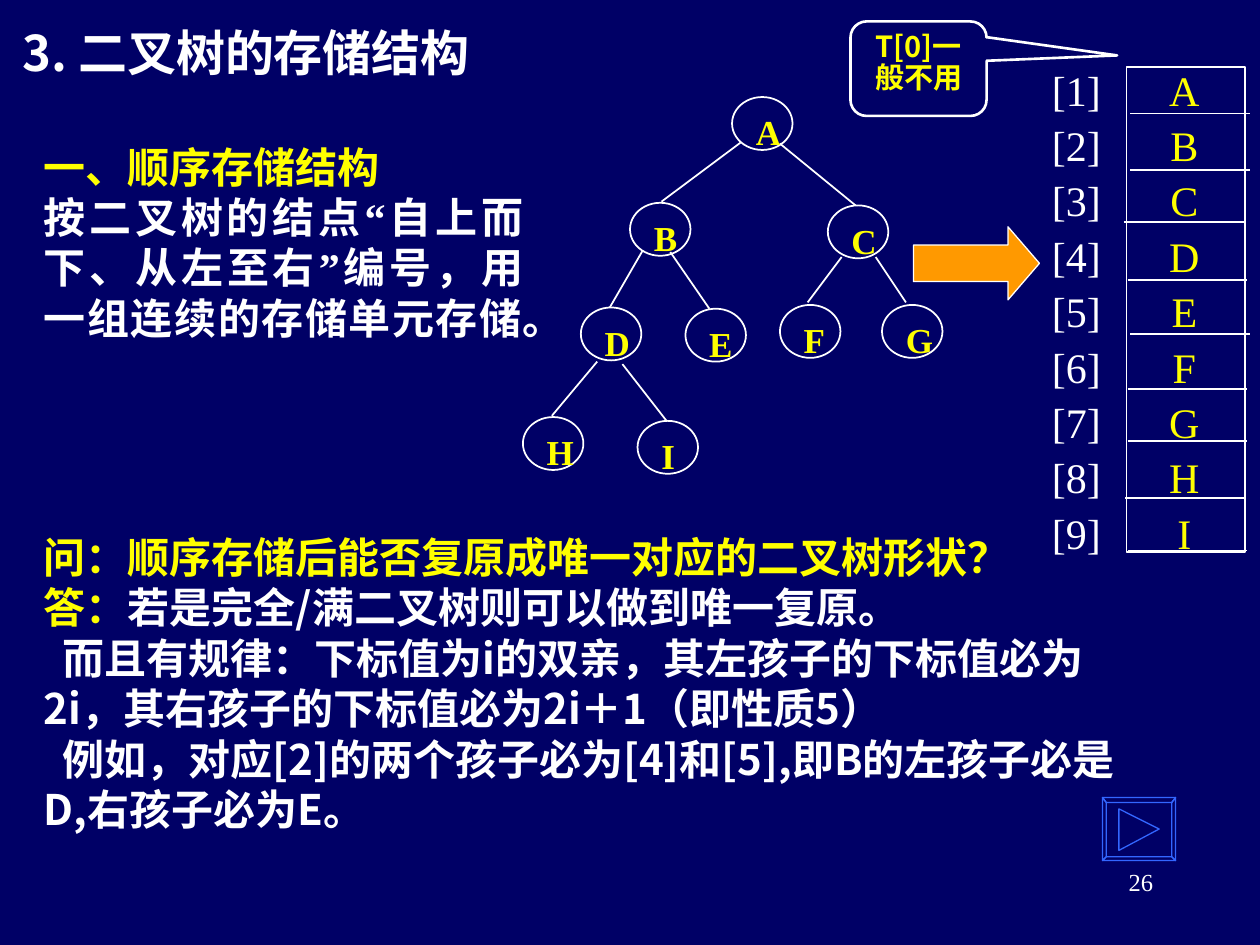
import pptx
import pptx.dml.color
import pptx.enum.shapes
import pptx.enum.text
import pptx.oxml.ns
import pptx.util
from lxml import etree

Inches = pptx.util.Inches
Shapes = pptx.enum.shapes.MSO_SHAPE
Align = pptx.enum.text.PP_ALIGN
Anchor = pptx.enum.text.MSO_ANCHOR
AutoSize = pptx.enum.text.MSO_AUTO_SIZE
qn = pptx.oxml.ns.qn

WHITE, YELLOW, ORANGE, BLUE, NAVY = "FFFFFF", "FFFF00", "FF9900", "3366FF", "000066"
SANS, SERIF = "Noto Sans CJK SC", "Times New Roman"


def color(value):
    return pptx.dml.color.RGBColor.from_string(value)


def apply(target, values):
    for name, value in values.items():
        setattr(target, name, value)


class SlideBuilder:
    def __init__(self, slide):
        self.slide = slide
        self.shapes = slide.shapes
        slide.background.fill.solid()
        slide.background.fill.fore_color.rgb = color(NAVY)

    def fill_text(self, shape, paragraphs, size, bold=False, wrap=True, grow=False,
                  anchor=Anchor.TOP, formats=None, indents=None):
        frame = shape.text_frame
        apply(frame, {
            "word_wrap": wrap,
            "auto_size": AutoSize.SHAPE_TO_FIT_TEXT if grow else AutoSize.NONE,
            "vertical_anchor": anchor,
            "margin_left": Inches(0.1), "margin_right": Inches(0.1),
            "margin_top": Inches(0.05), "margin_bottom": Inches(0.05),
        })
        for index, runs in enumerate(paragraphs):
            paragraph = frame.add_paragraph() if index else frame.paragraphs[0]
            apply(paragraph, {"alignment": Align.LEFT, **(formats or {})})
            if indents and indents[index]:
                paragraph._p.get_or_add_pPr().set("indent", str(Inches(indents[index])))
            for text, ink, latin, east in runs:
                run = paragraph.add_run()
                run.text = text
                apply(run.font, {"size": pptx.util.Pt(size), "bold": bold, "name": latin})
                run.font.color.rgb = color(ink)
                properties = run._r.get_or_add_rPr()
                properties.find(qn("a:latin")).addnext(
                    properties.makeelement(qn("a:ea"), {"typeface": east}))
        return frame

    def text(self, box, paragraphs, size, **style):
        shape = self.shapes.add_textbox(*map(Inches, box))
        return self.fill_text(shape, paragraphs, size, **style)

    def paint(self, shape, line, width, fill=None):
        shape.shadow.inherit = False
        if fill:
            shape.fill.solid()
            shape.fill.fore_color.rgb = color(fill)
        else:
            shape.fill.background()
        shape.line.color.rgb = color(line)
        shape.line.width = pptx.util.Pt(width)
        return shape

    def preset(self, kind, box, width=1, fill=None, adjustments=()):
        shape = self.shapes.add_shape(kind, *map(Inches, box))
        for index, value in enumerate(adjustments):
            shape.adjustments[index] = value
        return self.paint(shape, WHITE, width, fill)

    def line(self, start_x, start_y, end_x, end_y):
        connector = self.shapes.add_connector(
            pptx.enum.shapes.MSO_CONNECTOR.STRAIGHT,
            *map(Inches, (start_x, start_y, end_x, end_y)))
        connector.line.color.rgb = color(WHITE)
        connector.line.width = pptx.util.Pt(1)
        etree.SubElement(connector._element.spPr, qn("a:effectLst"))

    def outline(self, contours, ink, width):
        contours = [[tuple(map(Inches, point)) for point in contour] for contour in contours]
        builder = self.shapes.build_freeform(*contours[0][0])
        for index, contour in enumerate(contours):
            if index:
                builder.move_to(*contour[0])
            builder.add_line_segments(contour[1:], close=True)
        self.paint(builder.convert_to_shape(), ink, width)

    def node(self, letter, left, top, label_width):
        self.preset(Shapes.OVAL, (left, top, 0.48, 0.42))
        self.text((left + 0.09, top + 0.06, label_width, 0.43),
                  [[(letter, YELLOW, SERIF, SERIF)]], 20, bold=True, wrap=False, grow=True)


def add_storage_array(builder):
    spacing = {"line_spacing": 1.1}
    builder.text((9.18, 0.42, 0.44, 4.06), [[(letter, YELLOW, SERIF, SERIF)] for letter in "ABCDEFGHI"],
                 24, wrap=False, grow=True, formats={"alignment": Align.CENTER, **spacing})
    builder.preset(Shapes.RECTANGLE, (8.94, 0.53, 0.94, 3.85))
    builder.text((8.25, 0.42, 0.59, 4.06), [[(f"[{index}]", WHITE, SERIF, SERIF)] for index in range(1, 10)],
                 24, wrap=False, grow=True, formats=spacing)
    dividers = [(8.97, 0.9), (8.97, 1.35), (8.92, 1.76), (8.95, 2.22), (8.97, 2.65),
                (8.95, 3.09), (8.95, 3.5), (8.93, 3.95), (8.95, 4.37)]
    for left, height in dividers:
        builder.line(left, height, left + 0.95, height)


def add_tree(builder):
    nodes = {"A": (5.81, 0.77, 0.4), "B": (5, 1.61, 0.39), "C": (6.57, 1.63, 0.4),
             "D": (4.61, 2.44, 0.4), "E": (5.44, 2.45, 0.39), "F": (6.19, 2.42, 0.37),
             "G": (7, 2.42, 0.42), "H": (4.15, 3.31, 0.42), "I": (5.06, 3.34, 0.31)}
    for letter, place in nodes.items():
        builder.node(letter, *place)
    branches = [(5.88, 1.13, 5.25, 1.6), (6.19, 1.14, 6.79, 1.63),
                (5.1, 1.99, 4.84, 2.44), (5.32, 2, 5.63, 2.45),
                (6.68, 2.04, 6.41, 2.4), (6.95, 2.04, 7.19, 2.4),
                (4.74, 2.87, 4.38, 3.3), (4.94, 2.89, 5.29, 3.34)]
    for branch in branches:
        builder.line(*branch)


def add_next_button(builder):
    outer = [(8.75, 6.33), (9.33, 6.33), (9.33, 6.83), (8.75, 6.83)]
    inner = [(8.78, 6.37), (9.3, 6.37), (9.3, 6.8), (8.78, 6.8)]
    bevels = [[outer[i], outer[(i + 1) % 4], inner[(i + 1) % 4], inner[i]] for i in range(4)]
    triangle = [(8.88, 6.42), (9.2, 6.58), (8.88, 6.75)]
    builder.outline([outer, *bevels, triangle], BLUE, 0.75)


def main():
    presentation = pptx.Presentation()
    presentation.slide_width, presentation.slide_height = Inches(10), Inches(7.5)
    builder = SlideBuilder(presentation.slides.add_slide(presentation.slide_layouts[6]))

    builder.text((7.17, 6.83, 2.08, 0.5), [[("26", WHITE, SERIF, SERIF)]], 14,
                 formats={"alignment": Align.RIGHT})
    builder.text((0.08, 0.08, 4.17, 0.67), [[("3. 二叉树的存储结构", WHITE, SANS, SANS)]], 28,
                 bold=True, anchor=Anchor.MIDDLE)
    method = builder.text((0.25, 0.92, 4, 2), [
        [("一、顺序存储结构", YELLOW, SERIF, SANS)],
        [("按二叉树的结点", WHITE, SANS, SANS), ("“", WHITE, SERIF, SERIF),
         ("自上而下、从左至右", WHITE, SANS, SANS), ("”", WHITE, SERIF, SERIF),
         ("编号，用一组连续的存储单元存储。", WHITE, SANS, SANS)],
    ], 24, bold=True, anchor=Anchor.MIDDLE)
    method.paragraphs[1].alignment = Align.JUSTIFY

    add_storage_array(builder)
    add_tree(builder)
    add_next_button(builder)
    builder.preset(Shapes.RIGHT_ARROW, (7.25, 1.8, 1, 0.58), 0.75, ORANGE, (0.5, 0.43))

    builder.text((0.25, 4.17, 9, 2.5), [
        [("问：顺序存储后能否复原成唯一对应的二叉树形状？", YELLOW, SERIF, SANS)],
        [("答：", YELLOW, SANS, SANS), ("若是完全/满二叉树则可以做到唯一复原。", WHITE, SANS, SANS)],
        [("而且有规律：下标值为i的双亲，其左孩子的下标值必为2i，其右孩子的下标值必为2i＋1（即性质5）",
          WHITE, SANS, SANS)],
        [("例如，对应[2]的两个孩子必为[4]和[5],即B的左孩子必是D,右孩子必为E。", WHITE, SANS, SANS)],
    ], 24, bold=True, grow=True, indents=(0, 0, 0.15, 0.15))

    callout = builder.preset(Shapes.ROUNDED_RECTANGULAR_CALLOUT, (6.75, 0.17, 1.08, 0.75), 1.5,
                             adjustments=(1.46, -0.14, 0.17))
    builder.fill_text(callout, [[("T[0]一般不用", YELLOW, SANS, SANS)]], 16.6, bold=True,
                      formats={"alignment": Align.CENTER, "line_spacing": 0.9})
    presentation.save("out.pptx")


if __name__ == "__main__":
    main()
